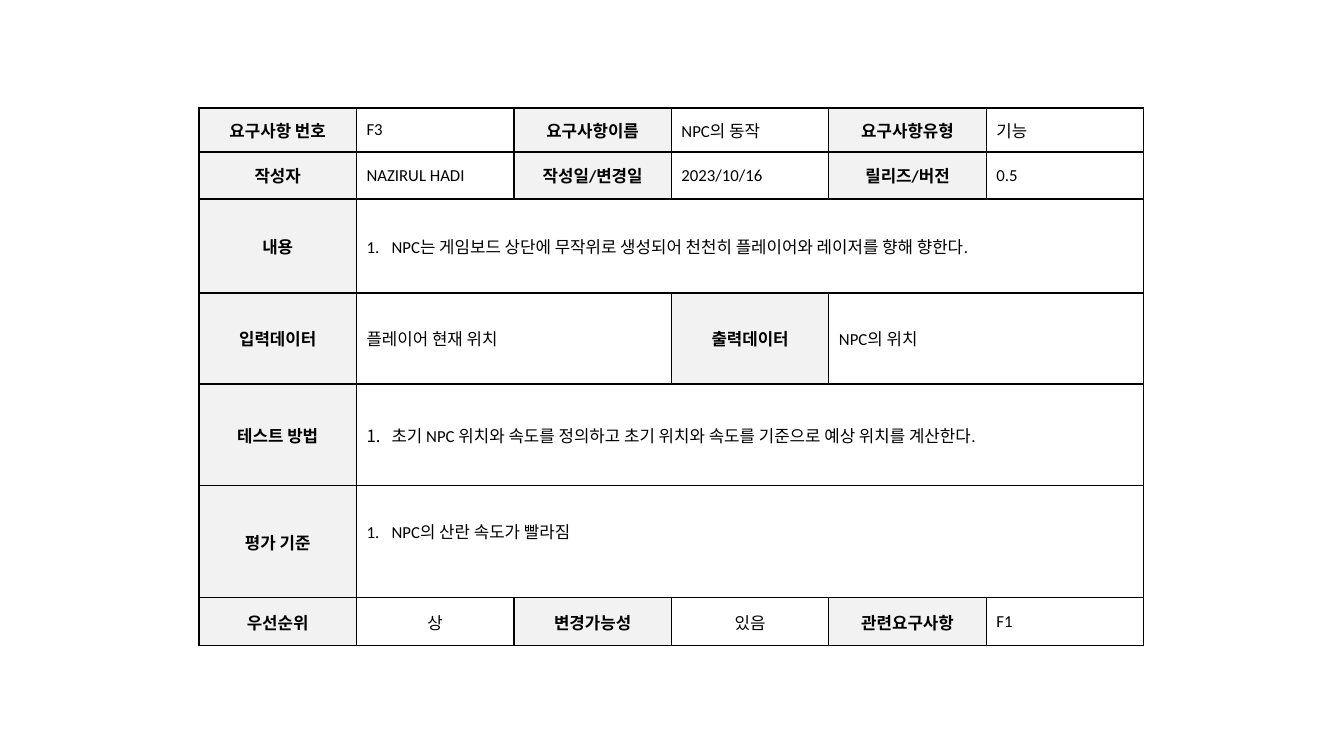
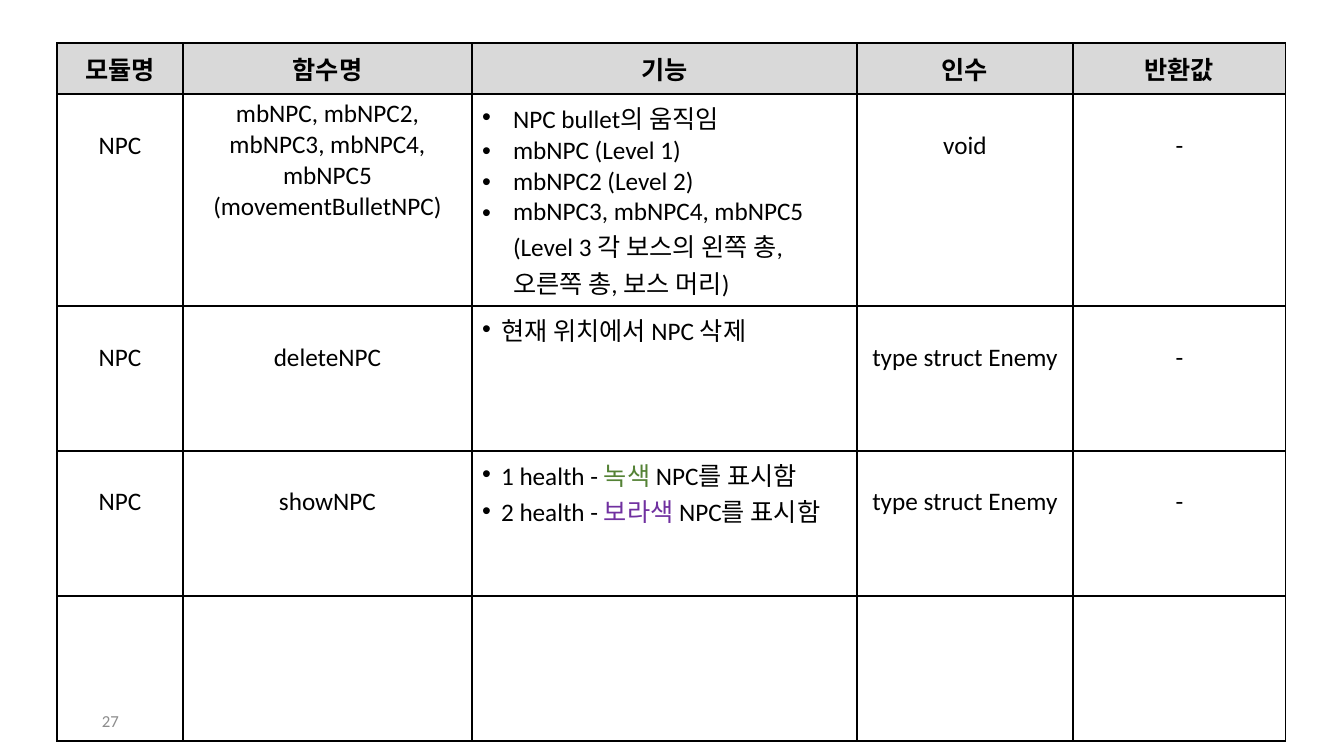
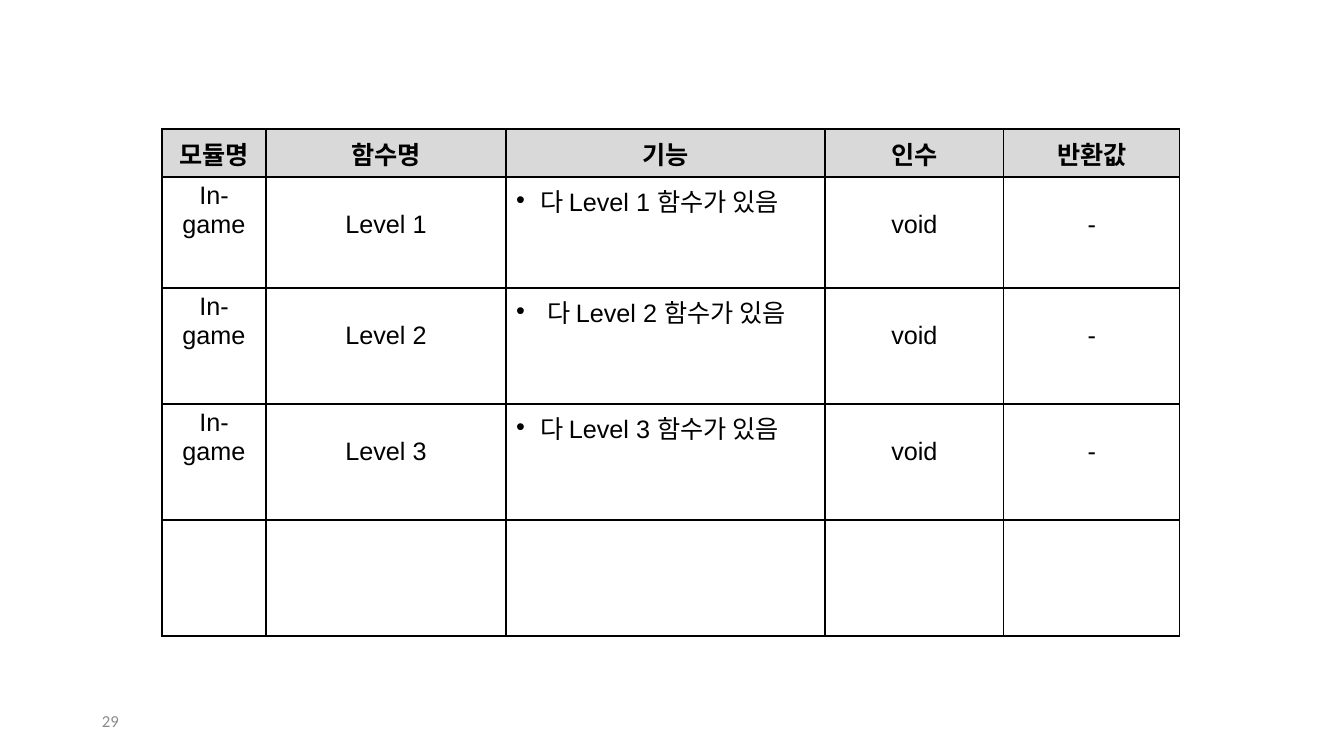
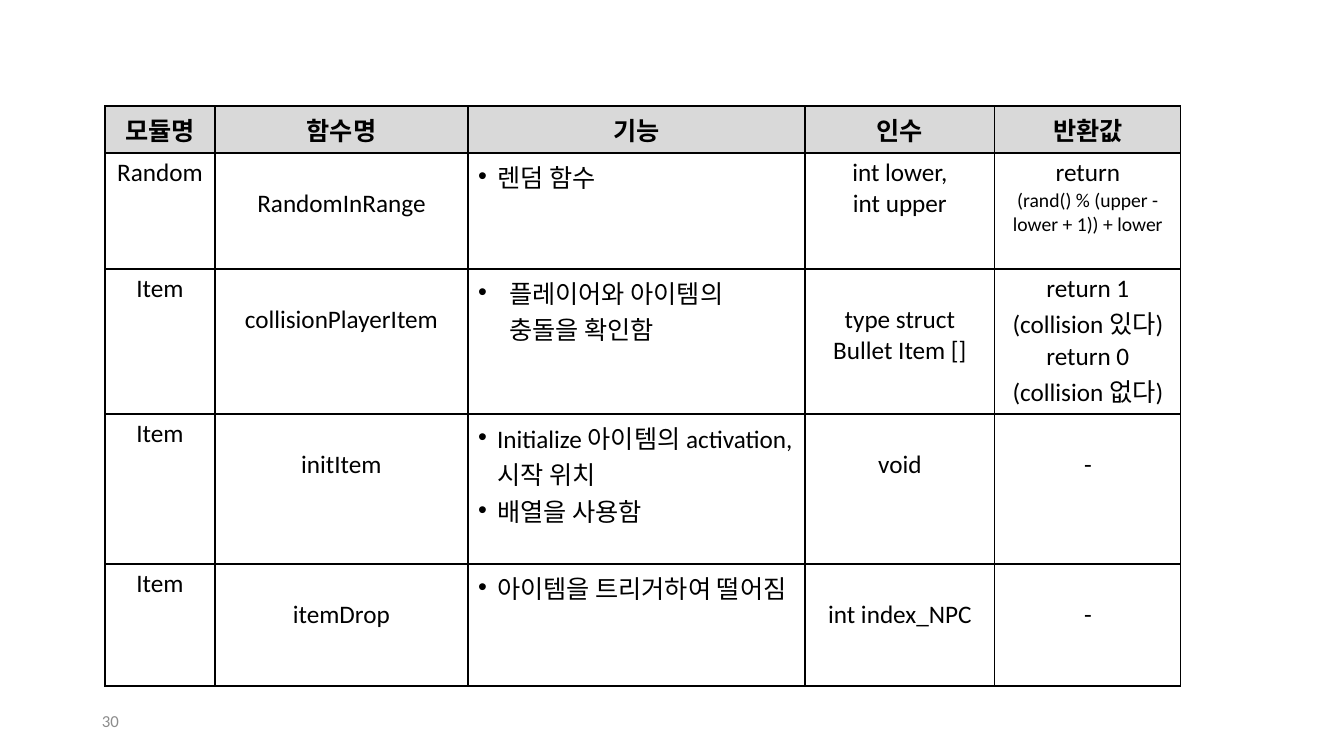
from lxml.etree import SubElement
from pptx import Presentation
from pptx.dml.color import RGBColor
from pptx.enum.text import MSO_ANCHOR as ANCHOR, PP_ALIGN as ALIGN
from pptx.oxml import parse_xml
from pptx.oxml.ns import nsdecls, qn
from pptx.util import Pt

PX = 914400 / 100.8
COLORS = {"text": "000000", "line": "000000", "label": "F2F2F2", "header": "D9D9D9",
          "page": "8C8C8C", "green": "548235", "purple": "7030A0"}
NUMBER, BULLET = "number", "bullet"
MARGIN = 5

REQUIREMENT = {
    "at": (199, 108), "width": 945, "columns": 6,
    "heights": [44, 47, 94, 91, 102, 112, 48],
    "rows": [
        ["요구사항 번호", "F3", "요구사항이름", "NPC의 동작", "요구사항유형", "기능"],
        ["작성자", "NAZIRUL HADI", "작성일/변경일", "2023/10/16", "릴리즈/버전", "0.5"],
        ["내용", "NPC는 게임보드 상단에 무작위로 생성되어 천천히 플레이어와 레이저를 향해 향한다."],
        ["입력데이터", "플레이어 현재 위치", "출력데이터", "NPC의 위치"],
        ["테스트 방법", "초기 NPC 위치와 속도를 정의하고 초기 위치와 속도를 기준으로 예상 위치를 계산한다."],
        ["평가 기준", "NPC의 산란 속도가 빨라짐"],
        ["우선순위", "상", "변경가능성", "있음", "관련요구사항", "F1"],
    ],
    "centered": {"상", "있음"},
    "raised": {"평가 기준": 0, "NPC의 산란 속도가 빨라짐": 22},
}

HEADER = ["모듈명", "함수명", "기능", "인수", "반환값"]
BULLET_COLUMN = 2
FUNCTION_TABLES = [
    {"page": "27", "font": "Calibri", "line": 31, "at": (57, 43),
     "widths": [126, 289, 385, 216, 213], "heights": [51, 212, 145, 145, 145],
     "indents": [31, 19, 19], "flush": {(1, 1)},
     "rows": [
         ["NPC", ["mbNPC, mbNPC2, mbNPC3, mbNPC4, mbNPC5", "(movementBulletNPC)"],
          ["NPC bullet의 움직임", "mbNPC (Level 1)", "mbNPC2 (Level 2)",
           "mbNPC3, mbNPC4, mbNPC5 (Level 3 각 보스의 왼쪽 총, 오른쪽 총, 보스 머리)"],
          "void", "-"],
         ["NPC", "deleteNPC", "현재 위치에서 NPC 삭제", "type struct Enemy", "-"],
         ["NPC", "showNPC",
          [["1 health - ", ("녹색 ", {"color": "green"}), "NPC를 표시함"],
           ["2 health - ", ("보라색 ", {"color": "purple"}), "NPC를 표시함"]],
          "type struct Enemy", "-"],
         [""] * 5,
     ]},
    {"page": "29", "font": "Arial", "line": 29, "at": (162, 129),
     "widths": [104, 240, 319, 179, 176], "heights": [48, 111, 116, 116, 116],
     "indents": [24, 31, 24], "flush": {(1, 0), (2, 0), (3, 0)},
     "rows": [
         *(["In-game", f"Level {n}", f"다 Level {n} 함수가 있음", "void", "-"] for n in (1, 2, 3)),
         [""] * 5,
     ]},
    {"page": "30", "font": "Calibri", "line": 31, "at": (105, 106),
     "widths": [110, 253, 337, 190, 186], "heights": [47, 116, 145, 150, 122],
     "indents": [19, 31, 19, 19],
     "flush": {(1, 0), (2, 0), (3, 0), (4, 0), (1, 3), (1, 4), (2, 4)},
     "rows": [
         ["Random", "RandomInRange", "렌덤 함수", ["int lower,", "int upper"],
          ["return", [("(rand() % (upper - lower + 1)) + lower", {"size": 14})]]],
         ["Item", "collisionPlayerItem", "플레이어와 아이템의 충돌을 확인함",
          "type struct Bullet Item []", ["return 1 (collision 있다)", "return 0 (collision 없다)"]],
         ["Item", "initItem", ["Initialize 아이템의 activation, 시작 위치", "배열을 사용함"],
          "void", "-"],
         ["Item", "itemDrop", "아이템을 트리거하여 떨어짐", "int index_NPC", "-"],
     ]},
]


def px(n):
    return round(n * PX)


def style(font, name, size, color="text", bold=False):
    font.name, font.size, font.bold = name, Pt(size), bold
    font.color.rgb = RGBColor.from_string(COLORS[color])


def add_marker(p, marker, indent):
    pPr = p._p.get_or_add_pPr()
    pPr.set("marL", str(px(indent)))
    pPr.set("indent", str(-px(indent)))
    if marker == NUMBER:
        SubElement(pPr, qn("a:buFont")).set("typeface", "+mj-lt")
        SubElement(pPr, qn("a:buAutoNum")).set("type", "arabicPeriod")
    else:
        SubElement(pPr, qn("a:buFont")).set("typeface", "Arial")
        SubElement(pPr, qn("a:buChar")).set("char", "•")


def set_cell(cell, content, name, size, fill=None, bold=False, center=True,
             marker=None, indent=0, middle=True, top=MARGIN, bottom=MARGIN):
    cell.vertical_anchor = ANCHOR.MIDDLE if middle else ANCHOR.TOP
    cell.margin_top, cell.margin_bottom = px(top), px(bottom)
    if fill:
        cell.fill.solid()
        cell.fill.fore_color.rgb = RGBColor.from_string(COLORS[fill])
    paragraphs = content if isinstance(content, list) else [content]
    tf = cell.text_frame
    for i, pieces in enumerate(paragraphs):
        p = tf.add_paragraph() if i else tf.paragraphs[0]
        p.alignment = ALIGN.CENTER if center else ALIGN.LEFT
        if marker and pieces:
            add_marker(p, marker, indent)
        for piece in pieces if isinstance(pieces, list) else [pieces]:
            text, changes = piece if isinstance(piece, tuple) else (piece, {})
            if text:
                r = p.add_run()
                r.text = text
                style(r.font, name, **{"size": size, "bold": bold, **changes})


def add_table(s, at, width, heights, columns):
    table = s.shapes.add_table(len(heights), columns, px(at[0]), px(at[1]),
                               px(width), px(sum(heights))).table
    table.first_row = table.horz_banding = False
    for row, height in zip(table.rows, heights):
        row.height = px(height)
    for cell in table.iter_cells():
        cell.fill.background()
        tcPr = cell._tc.get_or_add_tcPr()
        for i, side in enumerate("LRTB"):
            tcPr.insert(i, parse_xml(
                f'<a:ln{side} {nsdecls("a")} w="12700"><a:solidFill>'
                f'<a:srgbClr val="{COLORS["line"]}"/></a:solidFill></a:ln{side}>'))
    return table


def add_requirement(s, spec):
    columns = spec["columns"]
    table = add_table(s, spec["at"], spec["width"], spec["heights"], columns)
    for y, texts in enumerate(spec["rows"]):
        pairs = list(zip(texts[::2], texts[1::2]))
        step = columns // len(pairs)
        for i, (label, value) in enumerate(pairs):
            x = i * step
            set_cell(table.cell(y, x), label, "Calibri", 12, "label", bold=True)
            cell = table.cell(y, x + 1)
            if step > 2:
                cell.merge(table.cell(y, x + step - 1))
            set_cell(cell, value, "Calibri", 12, center=value in spec["centered"],
                     marker=NUMBER if len(pairs) == 1 else None, indent=25,
                     bottom=MARGIN + spec["raised"].get(value, 0))


def add_page_number(s, number):
    tf = s.shapes.add_textbox(px(92), px(701), px(302), px(40)).text_frame
    tf.word_wrap = True
    tf.vertical_anchor = ANCHOR.MIDDLE
    tf.text = number
    style(tf.paragraphs[0].runs[0].font, "Calibri", 12, "page")


def add_functions(s, spec):
    add_page_number(s, spec["page"])
    widths, name = spec["widths"], spec["font"]
    table = add_table(s, spec["at"], sum(widths), spec["heights"], len(widths))
    for x, (width, title) in enumerate(zip(widths, HEADER)):
        table.columns[x].width = px(width)
        set_cell(table.cell(0, x), title, name, 18, "header", bold=True)
    for y, row in enumerate(spec["rows"], 1):
        for x, content in enumerate(row):
            listed = x == BULLET_COLUMN
            flush = listed or not content or (y, x) in spec["flush"]
            set_cell(table.cell(y, x), content, name, 18, center=not listed, middle=False,
                     marker=BULLET if listed and content else None,
                     indent=spec["indents"][y - 1] if listed and content else 0,
                     top=MARGIN if flush else MARGIN + spec["line"])


def main():
    """Build the requirement sheet and the function tables."""
    prs = Presentation()
    prs.slide_width, prs.slide_height = px(1344), px(756)
    blank = prs.slide_layouts[6]
    add_requirement(prs.slides.add_slide(blank), REQUIREMENT)
    for spec in FUNCTION_TABLES:
        add_functions(prs.slides.add_slide(blank), spec)
    prs.save("out.pptx")


if __name__ == "__main__":
    main()
